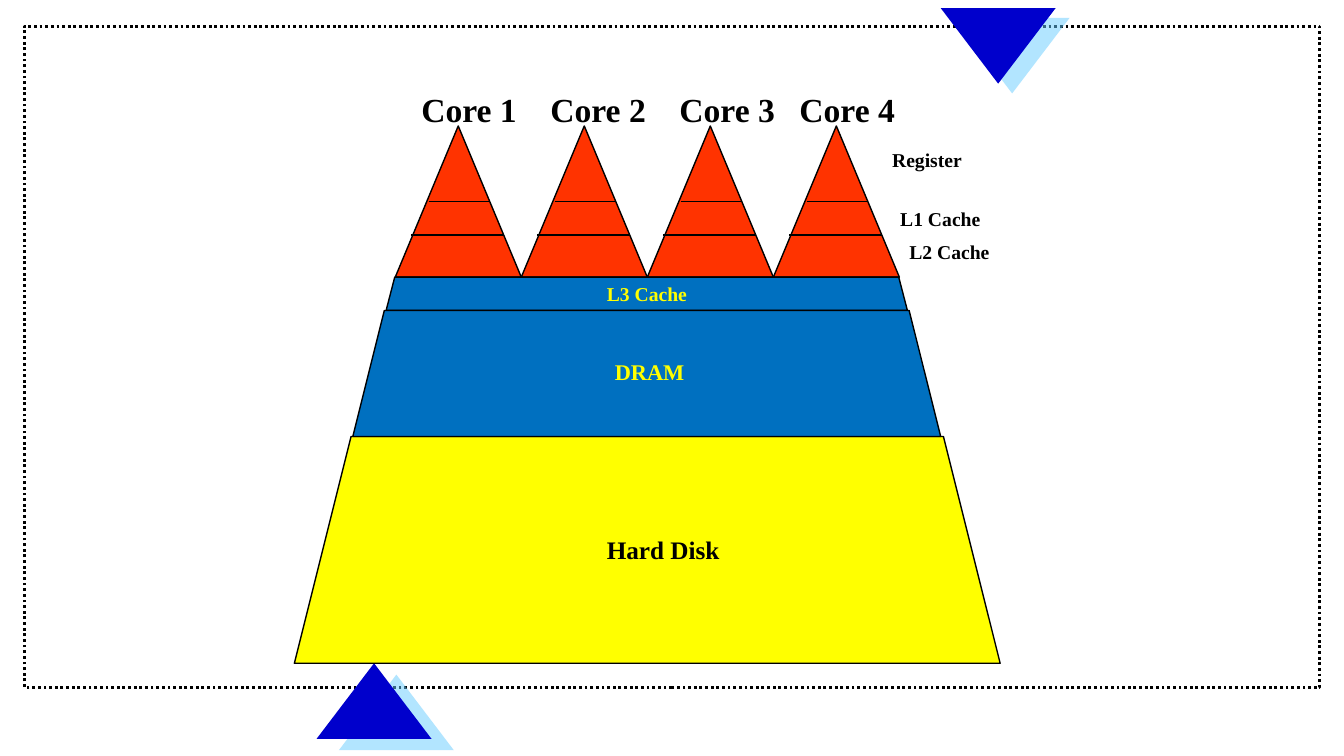
from dataclasses import dataclass

from lxml import etree
from pptx import Presentation
from pptx import util as u
from pptx.dml.color import RGBColor
from pptx.enum import dml, shapes, text
from pptx.oxml import ns


@dataclass(frozen=True)
class Theme:
    font: str = "Times New Roman"
    ink: str = "000000"
    accent: str = "0000CC"
    shadow: str = "66CCFF"
    core: str = "FF3300"
    shared: str = "0070C0"
    disk: str = "FFFF00"
    light: str = "FFFF00"
    cache_size: int = 14
    dram_size: int = 16
    disk_size: int = 18
    core_size: int = 24


class Canvas:
    def __init__(self, slide, theme):
        self.slide = slide
        self.theme = theme

    def shape(self, kind, left, top, width, height, fill=None, line=None):
        shape = self.slide.shapes.add_shape(
            kind, *(u.Inches(value) for value in (left, top, width, height)))
        shape.shadow.inherit = False
        if fill:
            shape.fill.solid()
            shape.fill.fore_color.rgb = RGBColor.from_string(fill)
        else:
            shape.fill.background()
        if line:
            shape.line.color.rgb = RGBColor.from_string(self.theme.ink)
            shape.line.width = u.Pt(line)
        else:
            shape.line.fill.background()
        return shape

    def frame(self, left, top, width, height):
        frame = self.shape(shapes.MSO_SHAPE.RECTANGLE, left, top, width, height, line=2)
        frame.line.dash_style = dml.MSO_LINE.ROUND_DOT

    def ornament(self, left, top, distance, angle, rotation=0):
        triangle = self.shape(shapes.MSO_SHAPE.ISOSCELES_TRIANGLE,
                              left, top, 1.14, 0.75, self.theme.accent)
        triangle.rotation = rotation
        effects = triangle._element.spPr.find(ns.qn("a:effectLst"))
        shadow = etree.SubElement(
            effects, ns.qn("a:outerShdw"), blurRad="0", dist=str(int(u.Pt(distance))),
            dir=str(angle * 60000), algn="ctr", rotWithShape="0")
        color = etree.SubElement(shadow, ns.qn("a:srgbClr"), val=self.theme.shadow)
        etree.SubElement(color, ns.qn("a:alpha"), val="50000")

    def layer(self, left, top, width, height, fill, slant=0.25):
        layer = self.shape(shapes.MSO_SHAPE.TRAPEZOID, left, top, width, height, fill, 1)
        layer.adjustments[0] = slant

    def divider(self, left, right, top):
        line = self.slide.shapes.add_connector(
            shapes.MSO_CONNECTOR.STRAIGHT,
            u.Inches(left), u.Inches(top), u.Inches(right), u.Inches(top))
        line.line.color.rgb = RGBColor.from_string(self.theme.ink)
        line.line.width = u.Pt(1)
        etree.SubElement(line._element.spPr, ns.qn("a:effectLst"))

    def label(self, words, left, top, width, height, size, color, tabs=()):
        box = self.slide.shapes.add_textbox(
            *(u.Inches(value) for value in (left, top, width, height)))
        box.text_frame.word_wrap = bool(tabs)
        box.text_frame.auto_size = text.MSO_AUTO_SIZE.SHAPE_TO_FIT_TEXT
        para = box.text_frame.paragraphs[0]
        if tabs:
            stops = etree.SubElement(para._p.get_or_add_pPr(), ns.qn("a:tabLst"))
            for stop in tabs:
                etree.SubElement(stops, ns.qn("a:tab"),
                                 pos=str(int(u.Inches(stop))), algn="l")
        span = para.add_run()
        span.text = words
        span.font.name = self.theme.font
        span.font.size = u.Pt(size)
        span.font.bold = True
        span.font.color.rgb = RGBColor.from_string(color)


def main():
    deck = Presentation()
    deck.slide_width = u.Inches(13.33)
    deck.slide_height = u.Inches(7.5)
    theme = Theme()
    page = Canvas(deck.slides.add_slide(deck.slide_layouts[6]), theme)

    page.frame(0.24, 0.26, 12.85, 6.56)
    page.ornament(9.33, 0.08, 12.2, 35, rotation=180)
    page.ornament(3.14, 6.58, 17.9, 27)

    core_width = 1.25
    core_lefts = [3.92 + core_width * index for index in range(4)]
    for left in core_lefts:
        page.shape(shapes.MSO_SHAPE.ISOSCELES_TRIANGLE,
                   left, 1.25, core_width, 1.5, theme.core, 1)
    page.layer(3.83, 2.75, 5.17, 0.33, theme.shared, 0.26)
    page.layer(2.92, 4.33, 7, 2.25, theme.disk)
    for offset, width, top in ((0.33, 0.6, 2), (0.16, 0.92, 2.33)):
        for left in core_lefts:
            page.divider(left + offset, left + offset + width, top)
    page.layer(3.5, 3.08, 5.83, 1.25, theme.shared)

    for words, left, top, width, height, size, color in (
        ("Register", 8.75, 1.42, 0.9, 0.34, theme.cache_size, theme.ink),
        ("L1 Cache", 8.83, 2, 1.01, 0.34, theme.cache_size, theme.ink),
        ("L2 Cache", 8.92, 2.33, 1.01, 0.34, theme.cache_size, theme.ink),
        ("L3 Cache", 5.92, 2.75, 1.01, 0.34, theme.cache_size, theme.light),
        ("DRAM", 6, 3.5, 0.9, 0.37, theme.dram_size, theme.light),
        ("Hard Disk", 5.92, 5.25, 1.33, 0.4, theme.disk_size, theme.ink),
    ):
        page.label(words, left, top, width, height, size, color)
    page.label("Core 1\tCore 2\tCore 3\tCore 4", 4.08, 0.83, 4.95, 0.51,
               theme.core_size, theme.ink, tabs=(1.28, 2.56, 3.75))

    deck.save("out.pptx")


if __name__ == "__main__":
    main()
